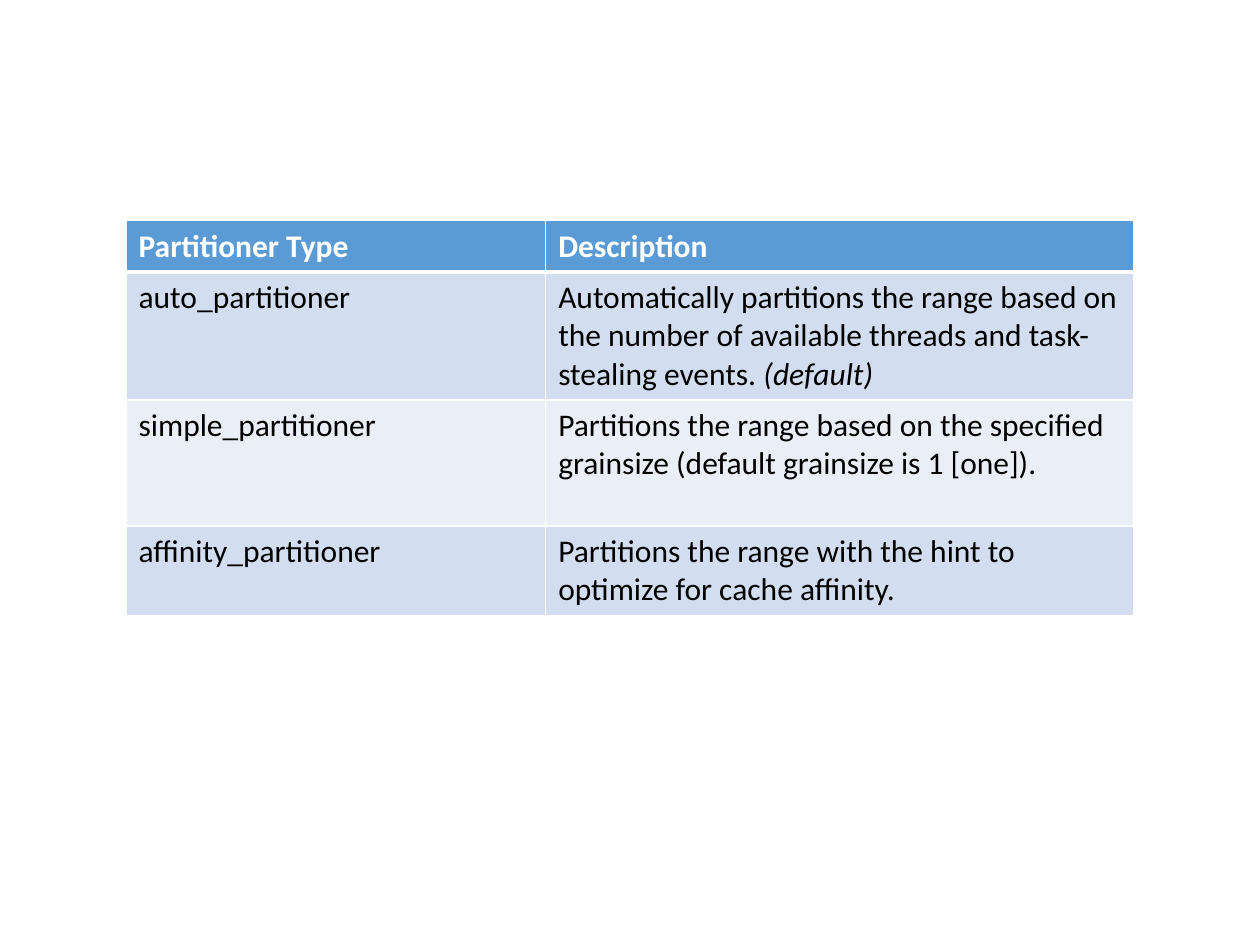
import lxml.etree
import pptx
import pptx.dml.color
import pptx.oxml.ns
import pptx.util

Cm = pptx.util.Cm
Pt = pptx.util.Pt

WHITE, BLACK, BLUE = "FFFFFF", "000000", "5B9BD5"
BANDS = ["D2DEEF", "EAEFF7"]
WIDTHS = [8.46, 11.86]
HEIGHTS = [1.03, 2.54, 2.54, 1.78]
HEAD = {"name": "Calibri", "size": Pt(18), "bold": True}
BODY = {"name": "Calibri", "size": Pt(18), "bold": False}

ROWS = [
    ["Partitioner Type", "Description"],
    ["auto_partitioner",
     "Automatically partitions the range based on the number of available "
     "threads and task-stealing events. "],
    ["simple_partitioner",
     "Partitions the range based on the specified grainsize "
     "(default grainsize is 1 [one])."],
    ["affinity_partitioner",
     "Partitions the range with the hint to optimize for cache affinity."],
]


def color(value):
    return pptx.dml.color.RGBColor.from_string(value)


def add_run(cell, text, tint, style):
    run = cell.text_frame.paragraphs[0].add_run()
    run.text = text
    for key, value in style.items():
        setattr(run.font, key, value)
    run.font.color.rgb = color(tint)


def add_edges(cell, widths):
    props = cell._tc.get_or_add_tcPr()
    tag = pptx.oxml.ns.qn
    for side, width in widths.items():
        line = lxml.etree.SubElement(props, tag("a:ln" + side), w=str(Pt(width)))
        fill = lxml.etree.SubElement(line, tag("a:solidFill"))
        lxml.etree.SubElement(fill, tag("a:srgbClr"), val=WHITE)


def fill_cell(cell, text, row):
    add_edges(cell, {"L": 1, "R": 1, "T": 3 if row == 1 else 1,
                     "B": 3 if row == 0 else 1})
    cell.fill.solid()
    cell.fill.fore_color.rgb = color(BANDS[(row - 1) % 2] if row else BLUE)
    add_run(cell, text, BLACK if row else WHITE, BODY if row else HEAD)


def add_grid(slide):
    frame = slide.shapes.add_table(
        len(ROWS), len(WIDTHS), Cm(2.54), Cm(4.45),
        Cm(sum(WIDTHS)), Cm(sum(HEIGHTS)))
    table = frame.table
    for col, width in zip(table.columns, WIDTHS):
        col.width = Cm(width)
    for row, height in zip(table.rows, HEIGHTS):
        row.height = Cm(height)
    for row, texts in enumerate(ROWS):
        for col, text in enumerate(texts):
            fill_cell(table.cell(row, col), text, row)
    add_run(table.cell(1, 1), "(default)", BLACK, BODY | {"italic": True})


def main():
    deck = pptx.Presentation()
    deck.slide_width, deck.slide_height = Cm(25.4), Cm(19.05)
    slide = deck.slides.add_slide(deck.slide_layouts[6])
    add_grid(slide)
    deck.save("out.pptx")


if __name__ == "__main__":
    main()
